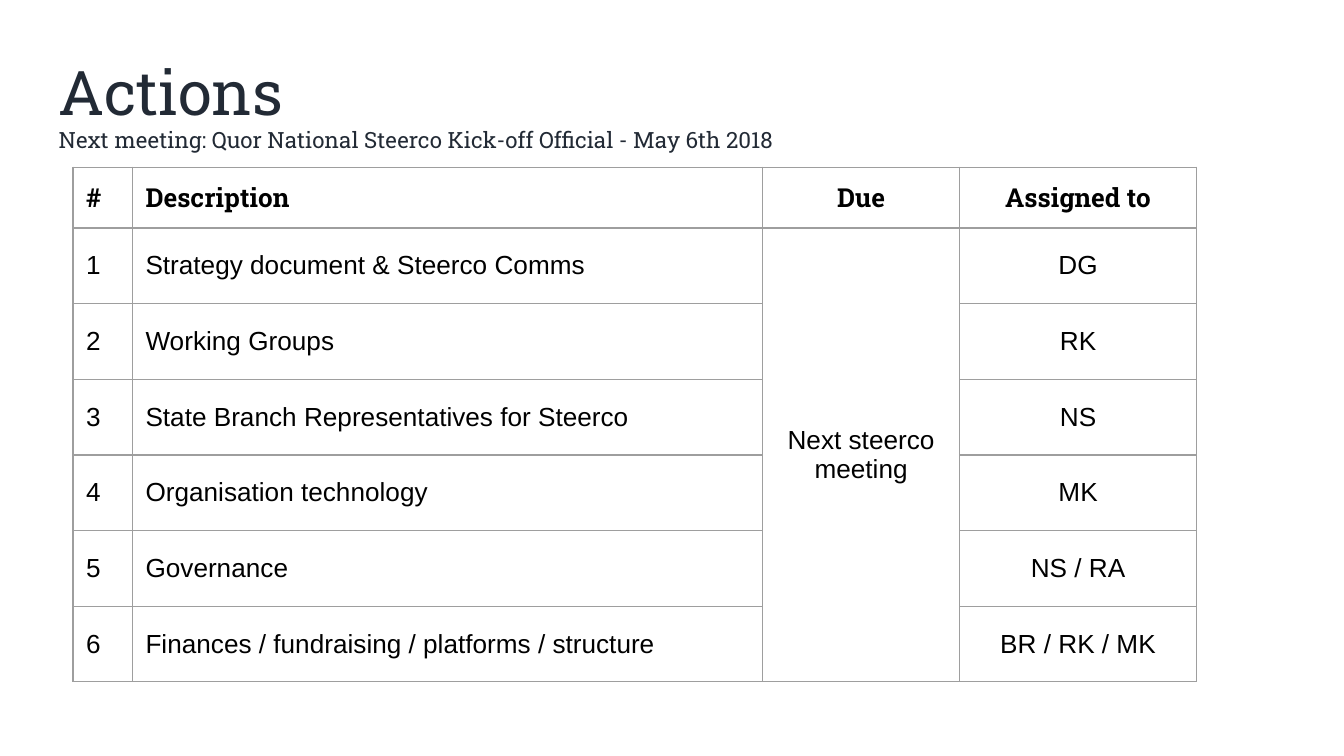
"""Build the Actions slide with its table of assigned tasks."""
from lxml import etree
from pptx import Presentation
from pptx.dml.color import RGBColor as RGB
from pptx.enum.text import MSO_ANCHOR as ANCHOR, PP_ALIGN as ALIGN
from pptx.oxml.ns import qn
from pptx.util import Cm, Pt

COLORS = {"title": "222A35", "text": "000000", "border": "9E9E9E"}
SLAB = "Roboto Slab"
INSET = Cm(0.25)


def format_run(r, size, font, color, bold=False):
    r.font.size = Pt(size)
    r.font.name = font
    r.font.bold = bold
    r.font.color.rgb = RGB.from_string(COLORS[color])


def add_borders(cell):
    tc_pr = cell._tc.get_or_add_tcPr()
    for side in ("lnL", "lnR", "lnT", "lnB"):
        ln = etree.SubElement(tc_pr, qn(f"a:{side}"), w=str(Pt(0.75)))
        fill = etree.SubElement(ln, qn("a:solidFill"))
        etree.SubElement(fill, qn("a:srgbClr"), val=COLORS["border"])


prs = Presentation()
prs.slide_width, prs.slide_height = Cm(25.4), Cm(14.29)
s = prs.slides.add_slide(prs.slide_layouts[6])

tf = s.shapes.add_textbox(Cm(0.86), Cm(1.24), Cm(23.67), Cm(1.6)).text_frame
tf.word_wrap = True
tf.vertical_anchor = ANCHOR.MIDDLE
tf.margin_left = tf.margin_right = tf.margin_top = tf.margin_bottom = INSET
tf.text = "Actions\nNext meeting: Quor National Steerco Kick-off Official - May 6th 2018"
for p, size in zip(tf.paragraphs, (33, 12)):
    p.line_spacing = 0.9
    format_run(p.runs[0], size, SLAB, "title")

rows = [
    ("#", "Description", "Due", "Assigned to"),
    ("1", "Strategy document & Steerco Comms", "Next steerco meeting", "DG"),
    ("2", "Working Groups", "", "RK"),
    ("3", "State Branch Representatives for Steerco", "", "NS"),
    ("4", "Organisation technology", "", "MK"),
    ("5", "Governance", "", "NS / RA"),
    ("6", "Finances / fundraising / platforms / structure", "", "BR / RK / MK"),
]
col_widths = (1.12, 11.91, 3.73, 4.47)
row_heights = [1.15] + [1.43] * 6

table = s.shapes.add_table(len(rows), len(col_widths), Cm(1.38), Cm(3.16),
                           Cm(sum(col_widths)), Cm(sum(row_heights))).table
table.first_row = table.horz_banding = False
for col, width in zip(table.columns, col_widths):
    col.width = Cm(width)
for row, height in zip(table.rows, row_heights):
    row.height = Cm(height)
table.cell(1, 2).merge(table.cell(6, 2))

for i, row in enumerate(rows):
    for j, text in enumerate(row):
        cell = table.cell(i, j)
        add_borders(cell)
        cell.fill.background()
        cell.vertical_anchor = ANCHOR.MIDDLE
        cell.margin_left = cell.margin_right = INSET
        cell.margin_top = cell.margin_bottom = INSET
        if not text:
            continue
        p = cell.text_frame.paragraphs[0]
        p.text = text
        p.alignment = ALIGN.CENTER if j > 1 else ALIGN.LEFT
        format_run(p.runs[0], 14, "Arial" if i else SLAB, "text", bold=i == 0)

prs.save("out.pptx")
